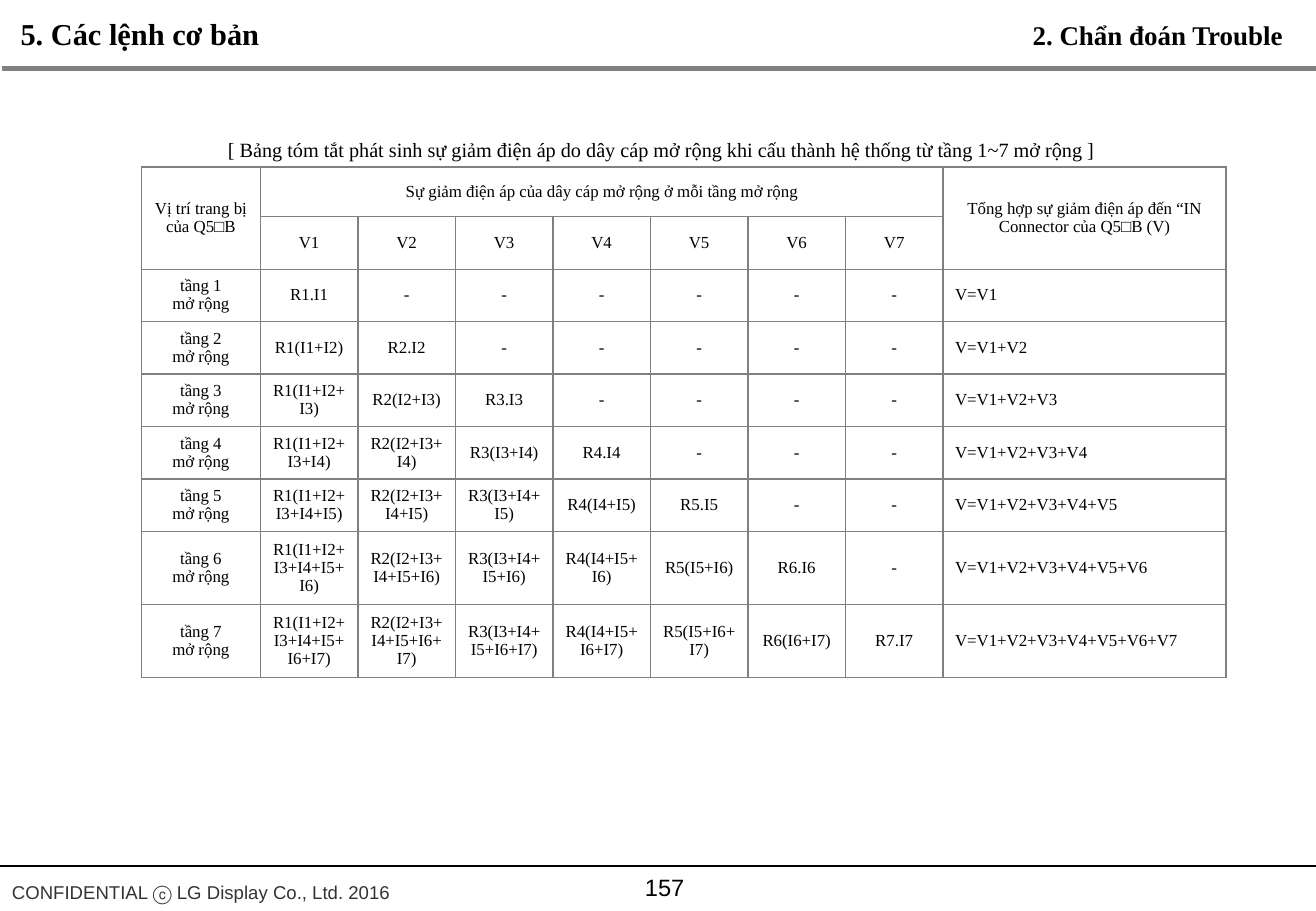
from lxml import etree
from pptx import Presentation
from pptx.dml.color import RGBColor
from pptx.enum.shapes import MSO_CONNECTOR
from pptx.enum.text import MSO_ANCHOR, MSO_AUTO_SIZE, PP_ALIGN
from pptx.oxml.ns import qn
from pptx.util import Pt

SERIF = "Times New Roman"
SANS = "Arial"
GRAY = "808080"
STAGES = 7
COLUMN_WIDTHS = [70.5] + [57.8] * STAGES + [167.7]
ROW_HEIGHTS = [29.5] + [31.1] * 6 + [43.3] * 2


def color(value):
    return RGBColor.from_string(value)


def write_text(frame, text, size=10, font=SERIF, fill="000000", bold=False,
               align=PP_ALIGN.LEFT, spacing=1.0):
    """Fill a text frame, one paragraph for each line of text."""
    frame.word_wrap = True
    frame.text = text
    for paragraph in frame.paragraphs:
        paragraph.alignment = align
        paragraph.line_spacing = spacing
        paragraph.space_before = Pt(0)
        paragraph.font.size = Pt(size)
        paragraph.font.name = font
        paragraph.font.bold = bold
        paragraph.font.color.rgb = color(fill)


def place(shape, left, top, width, height):
    shape.left, shape.top = Pt(left), Pt(top)
    shape.width, shape.height = Pt(width), Pt(height)


def add_title(slide, text, box, **style):
    title = slide.shapes.title
    place(title, *box)
    write_text(title.text_frame, text, **style)
    title.text_frame.auto_size = MSO_AUTO_SIZE.NONE
    title.text_frame.vertical_anchor = MSO_ANCHOR.MIDDLE


def add_text(slide, text, box, **style):
    shape = slide.shapes.add_textbox(*map(Pt, box))
    write_text(shape.text_frame, text, **style)
    shape.text_frame.vertical_anchor = MSO_ANCHOR.MIDDLE


def add_rule(slide, left, right, y, fill, width):
    rule = slide.shapes.add_connector(
        MSO_CONNECTOR.STRAIGHT, Pt(left), Pt(y), Pt(right), Pt(y))
    rule.line.color.rgb = color(fill)
    rule.line.width = Pt(width)
    etree.SubElement(rule._element.spPr, qn("a:effectLst"))


def format_cell(cell):
    properties = cell._tc.get_or_add_tcPr()
    for side in ("a:lnL", "a:lnR", "a:lnT", "a:lnB"):
        line = etree.SubElement(properties, qn(side), w=str(Pt(1)))
        solid = etree.SubElement(line, qn("a:solidFill"))
        etree.SubElement(solid, qn("a:srgbClr"), val=GRAY)
    cell.fill.solid()
    cell.fill.fore_color.rgb = color("FFFFFF")
    cell.vertical_anchor = MSO_ANCHOR.MIDDLE


def voltage_drop(cable, stage):
    """Drop over one cable when the unit sits at the given stage."""
    if cable > stage:
        return "-"
    if cable == stage:
        return f"R{cable}.I{cable}"
    currents = "+".join(f"I{i}" for i in range(cable, stage + 1))
    return f"R{cable}({currents})"


def table_rows():
    cables = range(1, STAGES + 1)
    yield ["Vị trí trang bị của Q5□B",
           "Sự giảm điện áp của dây cáp mở rộng ở mỗi tầng mở rộng",
           *[""] * (STAGES - 1),
           "Tổng hợp sự giảm điện áp đến “IN Connector của Q5□B (V)"]
    yield ["", *[f"V{cable}" for cable in cables], ""]
    for stage in cables:
        total = "+".join(f"V{i}" for i in range(1, stage + 1))
        yield [f"tầng {stage}\nmở rộng",
               *[voltage_drop(cable, stage) for cable in cables],
               f"V={total}"]


def add_voltage_table(slide, left, top):
    table = slide.shapes.add_table(
        len(ROW_HEIGHTS), len(COLUMN_WIDTHS), Pt(left), Pt(top),
        Pt(sum(COLUMN_WIDTHS)), Pt(sum(ROW_HEIGHTS))).table
    table.first_row = table.horz_banding = False
    for column, width in zip(table.columns, COLUMN_WIDTHS):
        column.width = Pt(width)
    for row, height in zip(table.rows, ROW_HEIGHTS):
        row.height = Pt(height)

    last = len(COLUMN_WIDTHS) - 1
    table.cell(0, 0).merge(table.cell(1, 0))
    table.cell(0, 1).merge(table.cell(0, STAGES))
    table.cell(0, last).merge(table.cell(1, last))

    for r, texts in enumerate(table_rows()):
        for c, text in enumerate(texts):
            cell = table.cell(r, c)
            format_cell(cell)
            if text:
                is_total = r > 1 and c == last
                write_text(cell.text_frame, text, spacing=0.96,
                           align=PP_ALIGN.LEFT if is_total else PP_ALIGN.CENTER)


def main():
    presentation = Presentation()
    presentation.slide_width, presentation.slide_height = Pt(780), Pt(540)
    slide = presentation.slides.add_slide(presentation.slide_layouts[5])

    add_rule(slide, 1.5, 780, 40.4, GRAY, 3)
    add_text(slide, "CONFIDENTIAL ⓒ LG Display Co., Ltd. 2016",
             (0, 518, 260, 22), size=11, font=SANS, fill="333333")
    add_text(slide, "157", (319, 508, 150, 36), size=14, font=SANS,
             align=PP_ALIGN.CENTER)
    add_rule(slide, 0, 780, 513.4, "000000", 0.75)

    add_text(slide, "2. Chẩn đoán Trouble", (605, 7, 170, 27), size=16, bold=True)
    add_title(slide, "5. Các lệnh cơ bản", (5, 5, 170, 29), size=18, bold=True)
    add_voltage_table(slide, 83.8, 99)
    add_text(slide,
             "[ Bảng tóm tắt phát sinh sự giảm điện áp do dây cáp mở rộng "
             "khi cấu thành hệ thống từ tầng 1~7 mở rộng ]",
             (128, 76, 546, 25), size=12)
    presentation.save("out.pptx")


if __name__ == "__main__":
    main()
